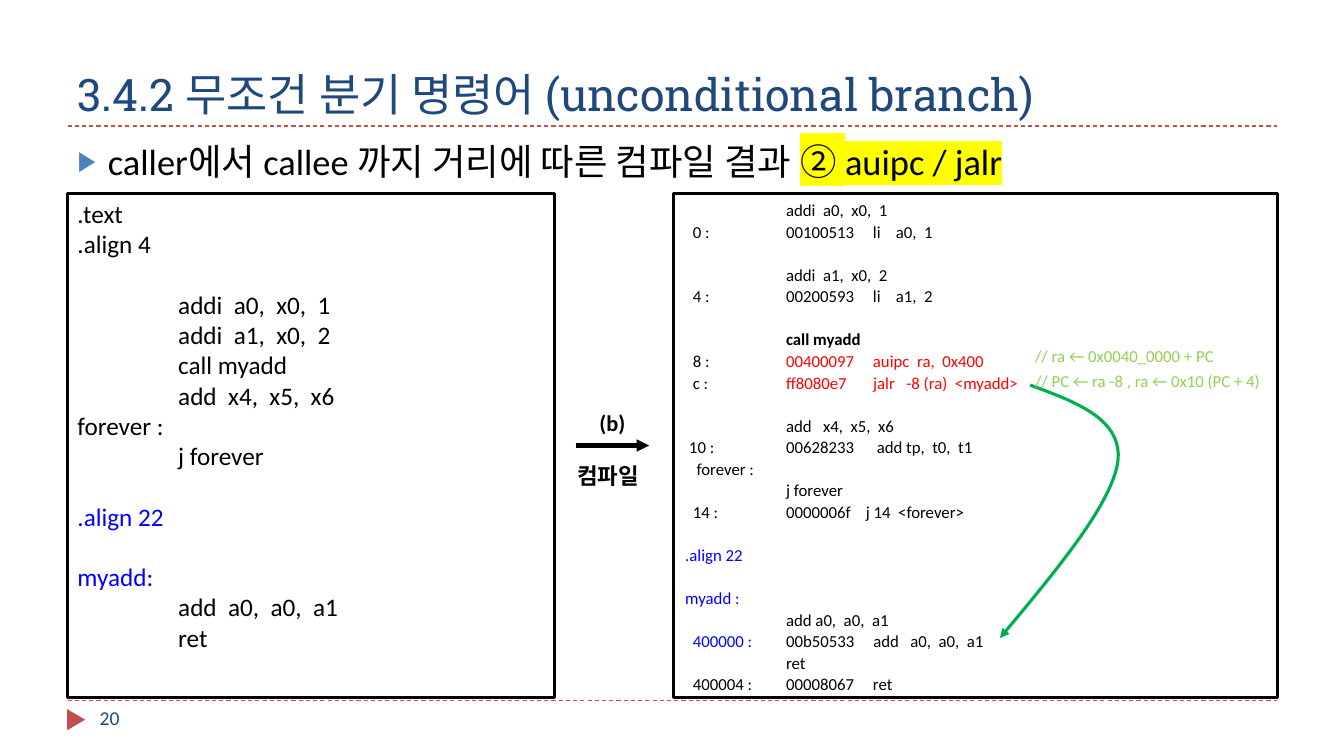
from dataclasses import dataclass

from lxml import etree
from pptx import Presentation
from pptx import util as u
from pptx.dml.color import RGBColor
from pptx.enum import dml, shapes, text
from pptx.oxml.ns import qn


@dataclass(frozen=True)
class Theme:
    head_font: str = "Roboto Slab"
    body_font: str = "Calibri"
    navy: str = "1F497D"
    blue: str = "4F81BD"
    brick: str = "C0504D"
    ink: str = "000000"
    label: str = "0000FF"
    jump: str = "FF0000"
    path_green: str = "00B050"
    remark: str = "92D050"
    marker: str = "FFFF00"
    title_size: int = 32
    lead_size: int = 26
    source_size: int = 18
    caption_size: int = 16
    page_size: int = 14
    listing_size: int = 12


def child(parent, tag, **values):
    return etree.SubElement(parent, qn(tag), values)


def assign(target, values):
    for name, value in values.items():
        setattr(target, name, value)


class SlideBuilder:
    def __init__(self, page, theme):
        self.page = page
        self.theme = theme

    def place(self, shape, left, top, width, height):
        assign(shape, {"left": u.Inches(left), "top": u.Inches(top),
                       "width": u.Inches(width), "height": u.Inches(height)})

    def span(self, para, words, size, color=None, font=None, bold=False, highlight=None):
        span = para.add_run()
        span.text = words
        assign(span.font, {"size": u.Pt(size), "bold": bold,
                           "name": font or self.theme.body_font})
        span.font.color.rgb = RGBColor.from_string(color or self.theme.ink)
        if highlight:
            mark = etree.Element(qn("a:highlight"))
            child(mark, "a:srgbClr", val=highlight)
            span.font._element.find(qn("a:latin")).addprevious(mark)

    def frame(self, box, anchor=text.MSO_ANCHOR.TOP):
        assign(box.text_frame, {"word_wrap": True, "vertical_anchor": anchor,
                                "auto_size": text.MSO_AUTO_SIZE.NONE})
        return box.text_frame.paragraphs[0]

    def title(self, words, bounds):
        box = self.page.shapes.title
        self.place(box, *bounds)
        para = self.frame(box, text.MSO_ANCHOR.BOTTOM)
        para.alignment = text.PP_ALIGN.LEFT
        self.span(para, words, self.theme.title_size, self.theme.navy, self.theme.head_font)

    def lead(self, words, marked, bounds):
        box = self.page.placeholders[1]
        self.place(box, *bounds)
        para = self.frame(box)
        para.space_before = u.Pt(0)
        props = para._p.get_or_add_pPr()
        props.set("marL", str(u.Inches(0.3)))
        props.set("indent", str(u.Inches(-0.3)))
        child(child(props, "a:buClr"), "a:srgbClr", val=self.theme.blue)
        child(props, "a:buSzPct", val="76000")
        child(props, "a:buChar", char="▶")
        self.span(para, words, self.theme.lead_size)
        self.span(para, marked, self.theme.lead_size, highlight=self.theme.marker)

    def label(self, words, bounds, size, align=text.PP_ALIGN.LEFT, **style):
        self.code([[(words, style)]], bounds, size, align=align)

    def code(self, lines, bounds, size, gap=0, spacing=1.0, align=text.PP_ALIGN.LEFT, tab=None):
        box = self.page.shapes.add_textbox(*map(u.Inches, bounds))
        para = self.frame(box)
        before = 0
        for number, line in enumerate(lines):
            if line is None:
                before = gap
                continue
            if number:
                para = box.text_frame.add_paragraph()
            assign(para, {"space_before": u.Pt(before), "line_spacing": spacing,
                          "alignment": align})
            if tab:
                stops = child(para._p.get_or_add_pPr(), "a:tabLst")
                child(stops, "a:tab", pos=str(u.Inches(tab)), algn="l")
            for words, style in [(line, {})] if isinstance(line, str) else line:
                self.span(para, words, size, **style)
            before = 0

    def stroke(self, shape, color, width, dash=None, arrow=False):
        assign(shape.line, {"width": u.Pt(width), "dash_style": dash})
        shape.line.color.rgb = RGBColor.from_string(color)
        if arrow:
            child(shape.line._get_or_add_ln(), "a:tailEnd", type="triangle")

    def line(self, start, end, color, width, dash=None, arrow=False):
        line = self.page.shapes.add_connector(
            shapes.MSO_CONNECTOR.STRAIGHT, *map(u.Inches, start + end))
        self.stroke(line, color, width, dash, arrow)
        child(line._element.spPr, "a:effectLst")

    def border(self, bounds):
        box = self.page.shapes.add_shape(shapes.MSO_SHAPE.RECTANGLE, *map(u.Inches, bounds))
        box.shadow.inherit = False
        box.fill.background()
        self.stroke(box, self.theme.ink, 2.25)

    def page_marker(self, bounds):
        marker = self.page.shapes.add_shape(
            shapes.MSO_SHAPE.ISOSCELES_TRIANGLE, *map(u.Inches, bounds))
        marker.rotation = 90
        marker.shadow.inherit = False
        marker.fill.solid()
        marker.fill.fore_color.rgb = RGBColor.from_string(self.theme.brick)
        marker.line.fill.background()

    def curve(self, start, controls, color, width):
        origin, *points = [tuple(map(u.Inches, point)) for point in [start, *controls]]
        builder = self.page.shapes.build_freeform(*origin)
        builder.add_line_segments(points, close=False)
        shape = builder.convert_to_shape()
        shape.shadow.inherit = False
        shape.fill.background()
        self.stroke(shape, color, width, arrow=True)
        segments = list(shape._element.iter(qn("a:lnTo")))
        outline = segments[0].getparent()
        for first in range(0, len(segments), 3):
            bezier = child(outline, "a:cubicBezTo")
            for segment in segments[first:first + 3]:
                bezier.append(segment[0])
                outline.remove(segment)


def main():
    theme = Theme()
    deck = Presentation()
    assign(deck, {"slide_width": u.Inches(40 / 3), "slide_height": u.Inches(7.5)})
    slide = SlideBuilder(deck.slides.add_slide(deck.slide_layouts[1]), theme)
    blue, red, bold = {"color": theme.label}, {"color": theme.jump}, {"bold": True}

    for rule_y in (6.95, 1.25):
        slide.line((0.67, rule_y), (12.67, rule_y), theme.brick, 0.75, dml.MSO_LINE.DASH)
    slide.page_marker((0.65, 7.05, 0.21, 0.18))
    slide.title("3.4.2 무조건 분기 명령어 (unconditional branch)", (0.67, 0.17, 12, 1.08))
    slide.lead("caller에서 callee 까지 거리에 따른 컴파일 결과 ", "② auipc / jalr",
               (0.67, 1.33, 12, 5.4))
    slide.label("20", (0.89, 6.95, 2.89, 0.4), theme.page_size, color=theme.navy)

    slide.line((5.71, 4.42), (6.44, 4.42), theme.ink, 3, arrow=True)
    slide.label("(b)", (5.59, 4.01, 0.97, 0.37), theme.caption_size,
                text.PP_ALIGN.CENTER, **bold)
    slide.label("컴파일", (5.63, 4.54, 0.97, 0.37), theme.caption_size, **bold)

    source = [
        ".text", ".align 4", None,
        "\taddi  a0,  x0,  1", "\taddi  a1,  x0,  2", "\tcall myadd",
        "\tadd  x4,  x5,  x6", "forever :", "\tj forever", None,
        [(".align 22", blue)], None,
        [("myadd:", blue)], "\tadd  a0,  a0,  a1", "\tret",
    ]
    listing = [
        "\taddi  a0,  x0,  1", "  0 : \t00100513     li    a0,  1", None,
        "\taddi  a1,  x0,  2", "  4 : \t00200593     li    a1,  2", None,
        [("\tcall myadd", bold)],
        [("  8 : \t", {}), ("00400097     auipc  ra,  0x400", red)],
        [("  c : \t", {}), ("ff8080e7       jalr   -8 (ra)  <myadd>", red)], None,
        "\tadd   x4,  x5,  x6", " 10 : \t00628233      add tp,  t0,  t1",
        "   forever :", "\tj forever", "  14 : \t0000006f    j 14  <forever>", None,
        [(".align 22", blue)], None,
        [("myadd :", blue)], "\tadd a0,  a0,  a1",
        [("  400000 : ", blue), ("\t00b50533     add   a0,  a0,  a1", {})],
        "\tret", "  400004 :\t00008067     ret",
    ]
    slide.border((0.67, 1.92, 4.83, 5))
    slide.code(source, (0.67, 1.92, 4.83, 4.64), theme.source_size, gap=21.6, tab=1)
    slide.border((6.68, 1.92, 5.99, 5))
    slide.code(listing, (6.7, 1.92, 5.97, 5), theme.listing_size,
               gap=15.4, spacing=1.07, tab=1)

    slide.curve((10.22, 3.82), [(10.68, 3.99), (11.14, 4.16), (11.09, 4.58),
                                (11.03, 4.99), (10.48, 5.66), (9.92, 6.33)],
                theme.path_green, 2.25)
    remarks = ["// ra ← 0x0040_0000 + PC", "// PC ← ra -8 , ra ← 0x10 (PC + 4)"]
    for row, remark in enumerate(remarks):
        slide.label(remark, (10.17, 3.38 + 0.25 * row, 2.5, 0.3),
                    theme.listing_size, color=theme.remark)

    deck.save("out.pptx")


if __name__ == "__main__":
    main()
